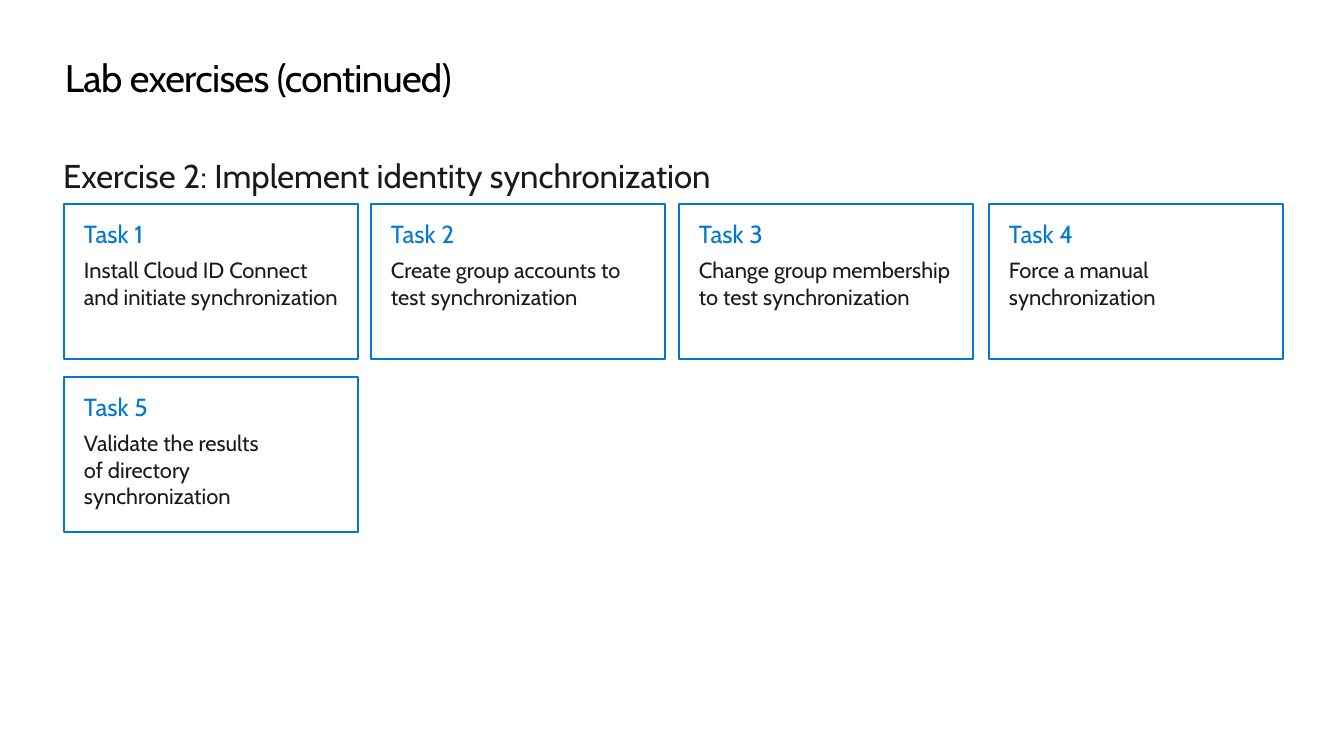
from pptx import Presentation
from pptx.dml.color import RGBColor
from pptx.enum.shapes import MSO_SHAPE
from pptx.enum.text import MSO_ANCHOR, PP_ALIGN
from pptx.util import Pt

PX = 9255
RECT = MSO_SHAPE.RECTANGLE
TOP, MIDDLE = MSO_ANCHOR.TOP, MSO_ANCHOR.MIDDLE
LEFT = PP_ALIGN.LEFT

THEME = {
    "font": "Cabin",
    "black": RGBColor(0x00, 0x00, 0x00),
    "ink": RGBColor(0x1A, 0x1A, 0x1A),
    "blue": RGBColor(0x00, 0x78, 0xD4),
    "title": Pt(28),
    "head": Pt(24),
    "label": Pt(18),
    "body": Pt(16),
    "line": Pt(1.5),
}


def set_frame(frame, anchor=TOP, side=0, edge=0):
    frame.word_wrap = True
    frame.vertical_anchor = anchor
    frame.margin_left = frame.margin_right = side * PX
    frame.margin_top = frame.margin_bottom = edge * PX


def write(para, text, size="body", color="ink", after=0, track=0):
    """Fill a paragraph; track is letter spacing in hundredths of a point."""
    para.text = text
    para.alignment = LEFT
    para.space_after = Pt(after)
    for run in para.runs:
        run.font.name = THEME["font"]
        run.font.size = THEME[size]
        run.font.color.rgb = THEME[color]
        if track:
            run.font._element.set("spc", str(track))


deck = Presentation()
deck.slide_width, deck.slide_height = 1344 * PX, 756 * PX
slide = deck.slides.add_slide(deck.slide_layouts[6])
shapes = slide.shapes

title = shapes.add_textbox(65 * PX, 54 * PX, 1214 * PX, 47 * PX).text_frame
set_frame(title)
write(title.paragraphs[0], "Lab exercises (continued)",
      size="title", color="black", track=-50)

head = shapes.add_textbox(63 * PX, 155 * PX, 709 * PX, 40 * PX).text_frame
set_frame(head, anchor=MIDDLE)
write(head.paragraphs[0], "Exercise 2: Implement identity synchronization",
      size="head")

TASKS = (
    "Install Cloud ID Connect and initiate synchronization",
    "Create group accounts to test synchronization",
    "Change group membership to test synchronization",
    "Force a manual synchronization",
    "Validate the results\vof directory synchronization",
)
COLS = (64, 371, 679, 989)
ROW_TOP, ROW_STEP = 204, 173
CARD_W, CARD_H = 294, 155

for index, task in enumerate(TASKS):
    row, col = divmod(index, len(COLS))
    top = ROW_TOP + row * ROW_STEP
    card = shapes.add_shape(RECT, COLS[col] * PX, top * PX,
                            CARD_W * PX, CARD_H * PX)
    card.shadow.inherit = False
    card.fill.background()
    card.line.color.rgb = THEME["blue"]
    card.line.width = THEME["line"]
    frame = card.text_frame
    set_frame(frame, side=20, edge=15)
    write(frame.paragraphs[0], f"Task {index + 1}",
          size="label", color="blue", after=6)
    write(frame.add_paragraph(), task, after=12)

deck.save("out.pptx")
